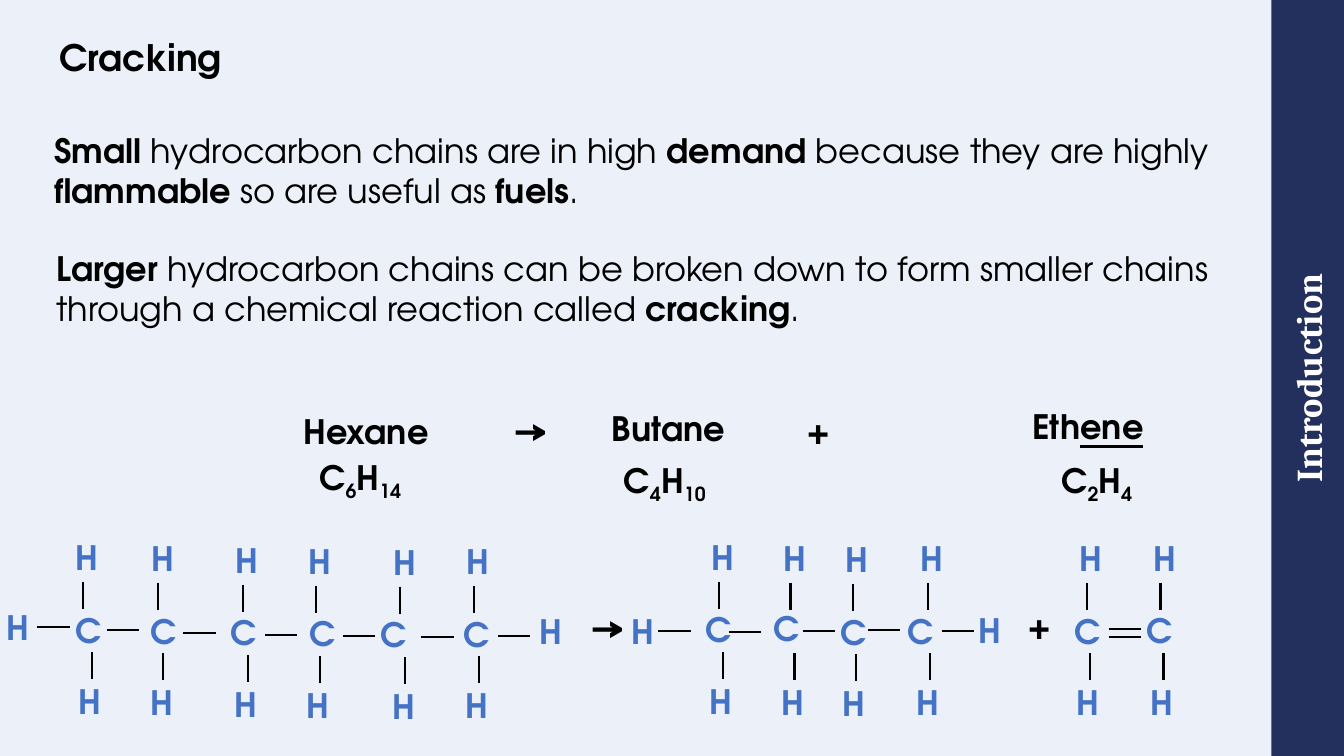
from pptx import Presentation
from pptx.dml.color import RGBColor
from pptx.enum.shapes import MSO_CONNECTOR, MSO_SHAPE
from pptx.enum.text import MSO_ANCHOR, MSO_AUTO_SIZE, PP_ALIGN
from pptx.oxml import parse_xml
from pptx.oxml.ns import nsdecls
from pptx.util import Inches, Pt

BLACK, WHITE, NAVY, BLUE, PALE = "000000", "FFFFFF", "232F5D", "4472C4", "ECF1F9"
BOND_WIDTH, BOND_HEIGHT = 0.32, 0.27

# Per carbon: x of upper H, C and lower H, then y of C and of the upper bond
CARBONS = [
    (0.65, 0.65, 0.68, 6.0, 5.77),
    (1.4, 1.39, 1.39, 6.01, 5.78),
    (2.24, 2.19, 2.23, 6.02, 5.8),
    (2.96, 2.97, 2.94, 6.03, 5.81),
    (3.8, 3.68, 3.79, 6.04, 5.82),
    (4.53, 4.5, 4.52, 6.04, 5.81),
    (6.96, 6.9, 6.94, 5.99, 5.77),
    (7.67, 7.57, 7.65, 5.98, 5.78),
    (8.29, 8.24, 8.26, 6.02, 5.79),
    (9.03, 8.9, 8.99, 6.01, 5.78),
    (10.61, 10.56, 10.58, 6.01, 5.78),
    (11.34, 11.27, 11.31, 6.0, 5.78),
]
END_HYDROGENS = [(-0.03, 5.97), (5.25, 6.01), (6.17, 6.01), (9.61, 6.0)]
# Left end of each horizontal bond; the last two form the double bond
CHAIN_BONDS = [
    (0.37, 6.22), (1.06, 6.25), (1.82, 6.28), (2.63, 6.3), (3.4, 6.31),
    (4.18, 6.32), (4.94, 6.31),
    (6.53, 6.26), (7.23, 6.27), (7.96, 6.26), (8.61, 6.25), (9.34, 6.26),
    (11, 6.24), (11, 6.32),
]
BODY = [
    (0.44, 1.24, "|Small| hydrocarbon chains are in high |demand| because they "
                 "are highly |flammable| so are useful as |fuels|."),
    (0.46, 2.41, "|Larger| hydrocarbon chains can be broken down to form smaller "
                 "chains through a chemical reaction called |cracking|."),
]
EQUATION = [(2.91, 4.03, "Hexane"), (4.99, 4, "→"), (5.97, 4, "Butane"),
            (7.9, 4.02, "+"), (10.14, 3.98, "Eth|ene")]
FORMULAS = [(3.07, 4.48, "C|6|H|14"), (6.09, 4.51, "C|4|H|10"),
            (10.43, 4.51, "C|2|H|4")]


def rgb(colour):
    return RGBColor.from_string(colour)


def embolden(font):
    font.bold = True


def underline(font):
    font.underline = True


def subscript(font):
    font._element.set("baseline", "-25000")


class ChemistrySlide:
    font_name = "TeX Gyre Adventor"

    def __init__(self, slide):
        self.slide = slide
        slide.background.fill.solid()
        slide.background.fill.fore_color.rgb = rgb(PALE)

    def fill_text(self, frame, text, size, colour, bold, name, mark=None):
        """Fill a frame; every second piece between bars gets the mark."""
        paragraph = frame.paragraphs[0]
        font = paragraph.font
        font.name, font.size, font.bold = name, Pt(size), bold
        font.color.rgb = rgb(colour)
        for index, piece in enumerate(text.split("|")):
            if piece:
                run = paragraph.add_run()
                run.text = piece
                if index % 2:
                    mark(run.font)
        return paragraph

    def sidebar(self, text):
        shape = self.slide.shapes.add_shape(
            MSO_SHAPE.RECTANGLE, Inches(9.22), Inches(3.39), Inches(7.5), Inches(0.72))
        shape.rotation = 270
        shape.shadow.inherit = False
        shape.fill.solid()
        shape.fill.fore_color.rgb = rgb(NAVY)
        shape.line.fill.background()
        frame = shape.text_frame
        frame.margin_left = frame.margin_right = frame.margin_top = frame.margin_bottom = 0
        frame.vertical_anchor = MSO_ANCHOR.MIDDLE
        paragraph = self.fill_text(frame, text, 26, WHITE, True, "Cambria")
        paragraph.alignment = PP_ALIGN.CENTER

    def title(self, text):
        box = self.slide.shapes.add_textbox(
            Inches(0.59), 0, Inches(11.61), Inches(0.79))
        frame = box.text_frame
        frame.word_wrap = True
        frame.margin_left = frame.margin_right = frame.margin_top = frame.margin_bottom = 0
        frame.vertical_anchor = MSO_ANCHOR.BOTTOM
        paragraph = self.fill_text(frame, text, 26, BLACK, True, self.font_name)
        paragraph.line_spacing = 0.9

    def text(self, left, top, text, width=1.7, height=0.5, colour=BLACK,
             bold=True, wrap=True, mark=None):
        box = self.slide.shapes.add_textbox(
            Inches(left), Inches(top), Inches(width), Inches(height))
        frame = box.text_frame
        frame.word_wrap = wrap
        frame.auto_size = MSO_AUTO_SIZE.SHAPE_TO_FIT_TEXT
        self.fill_text(frame, text, 24, colour, bold, self.font_name, mark)

    def atom(self, left, top, symbol):
        width = 0.48 if symbol == "C" else 0.43
        self.text(left, top, symbol, width, colour=BLUE, wrap=False)

    def bond(self, left, top, width=0, height=0):
        line = self.slide.shapes.add_connector(
            MSO_CONNECTOR.STRAIGHT, Inches(left), Inches(top),
            Inches(left + width), Inches(top + height))
        line.line.color.rgb = rgb(BLACK)
        line.line.width = Pt(1.5)
        line._element.spPr.append(parse_xml(f"<a:effectLst {nsdecls('a')}/>"))

    def carbon(self, upper_x, carbon_x, lower_x, carbon_y, bond_y):
        """Draw a carbon with the hydrogens above and below it."""
        self.bond(upper_x + 0.17, bond_y, height=BOND_HEIGHT)
        self.bond(lower_x + 0.23, bond_y + 0.7, height=BOND_HEIGHT)
        self.atom(upper_x, bond_y - 0.49, "H")
        self.atom(carbon_x, carbon_y, "C")
        self.atom(lower_x, bond_y + 0.94, "H")


def main():
    presentation = Presentation()
    presentation.slide_width, presentation.slide_height = Inches(13.33), Inches(7.5)
    page = ChemistrySlide(presentation.slides.add_slide(presentation.slide_layouts[6]))
    page.sidebar("Introduction")
    page.title("Cracking")
    for left, top, text in BODY:
        page.text(left, top, text, 11.9, 0.91, bold=False, mark=embolden)
    for left, top, text in EQUATION:
        page.text(left, top, text, mark=underline)
    for left, top, text in FORMULAS:
        page.text(left, top, text, mark=subscript)
    for carbon in CARBONS:
        page.carbon(*carbon)
    for left, top in END_HYDROGENS:
        page.atom(left, top, "H")
    for left, top in CHAIN_BONDS:
        page.bond(left, top, width=BOND_WIDTH)
    page.text(5.76, 5.95, "→", 0.65)
    page.text(10.09, 5.95, "+", 0.67)
    presentation.save("out.pptx")


if __name__ == "__main__":
    main()
